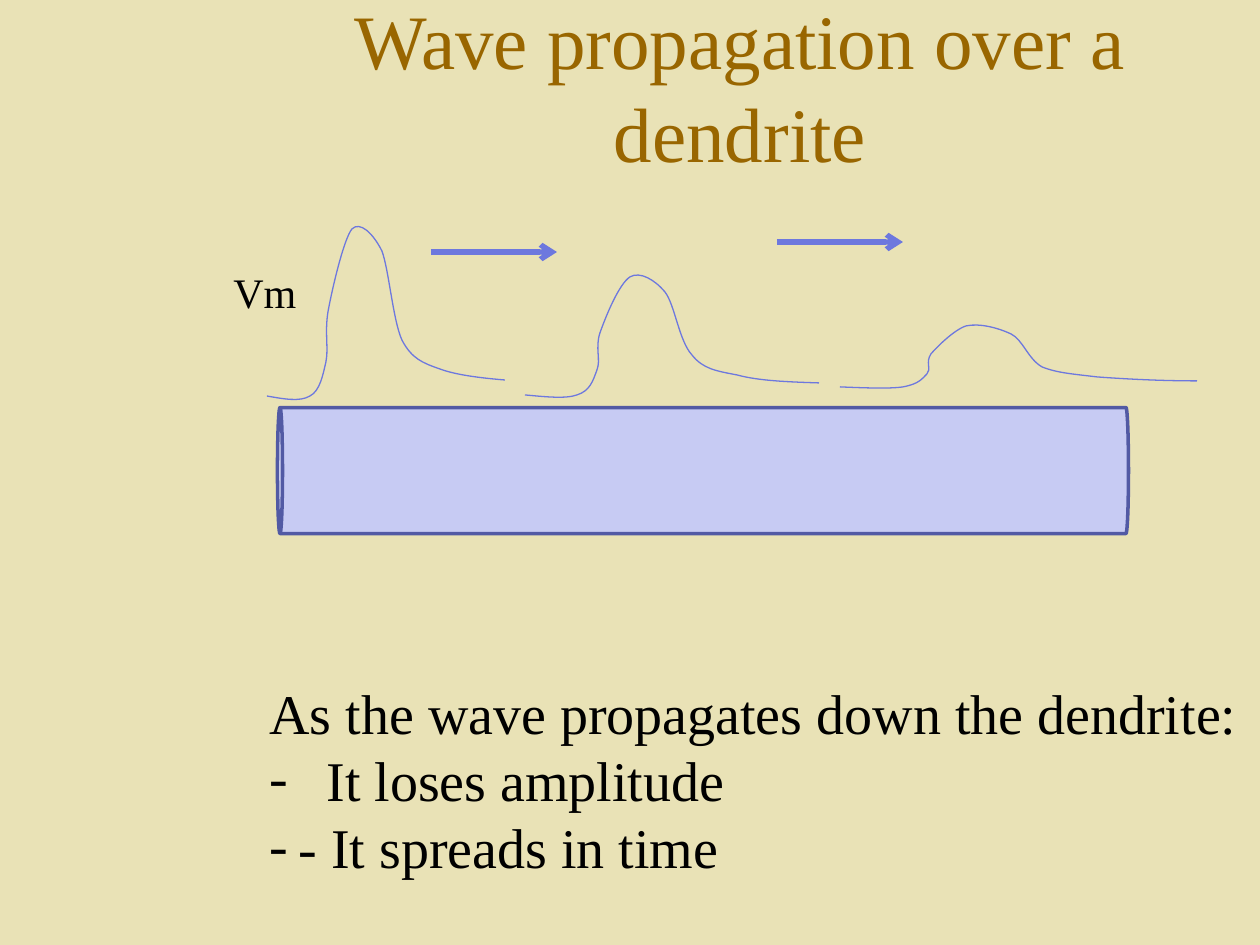
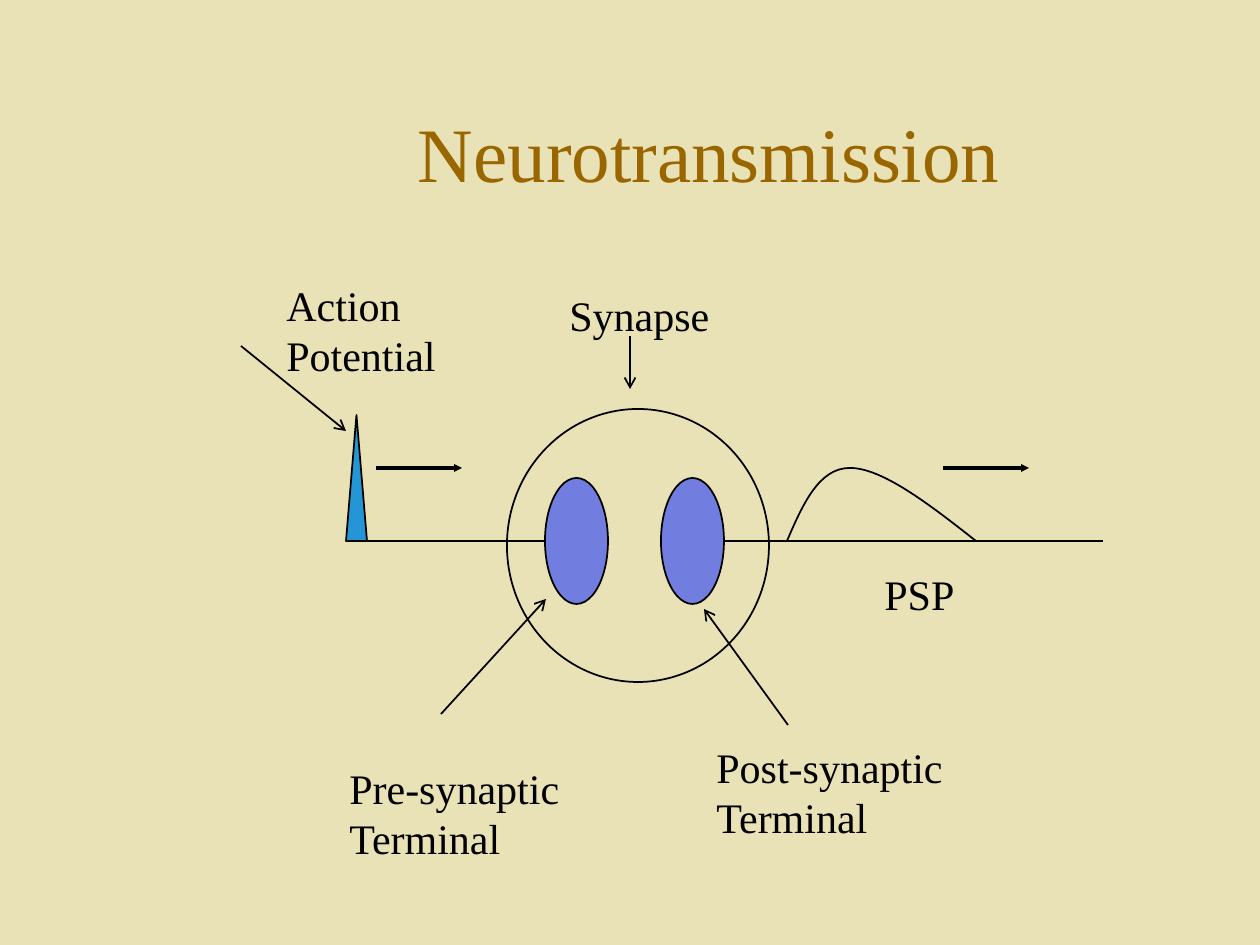
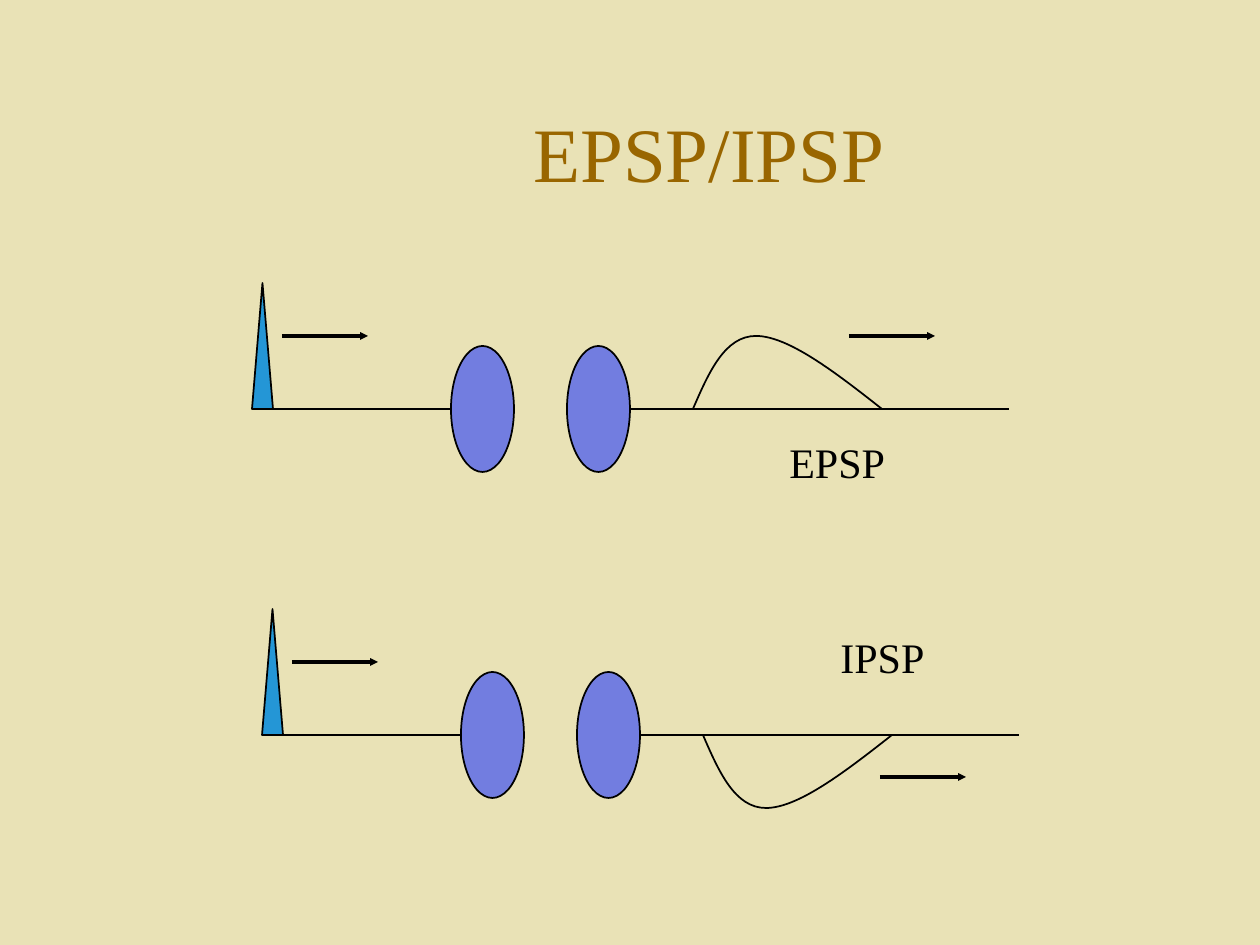
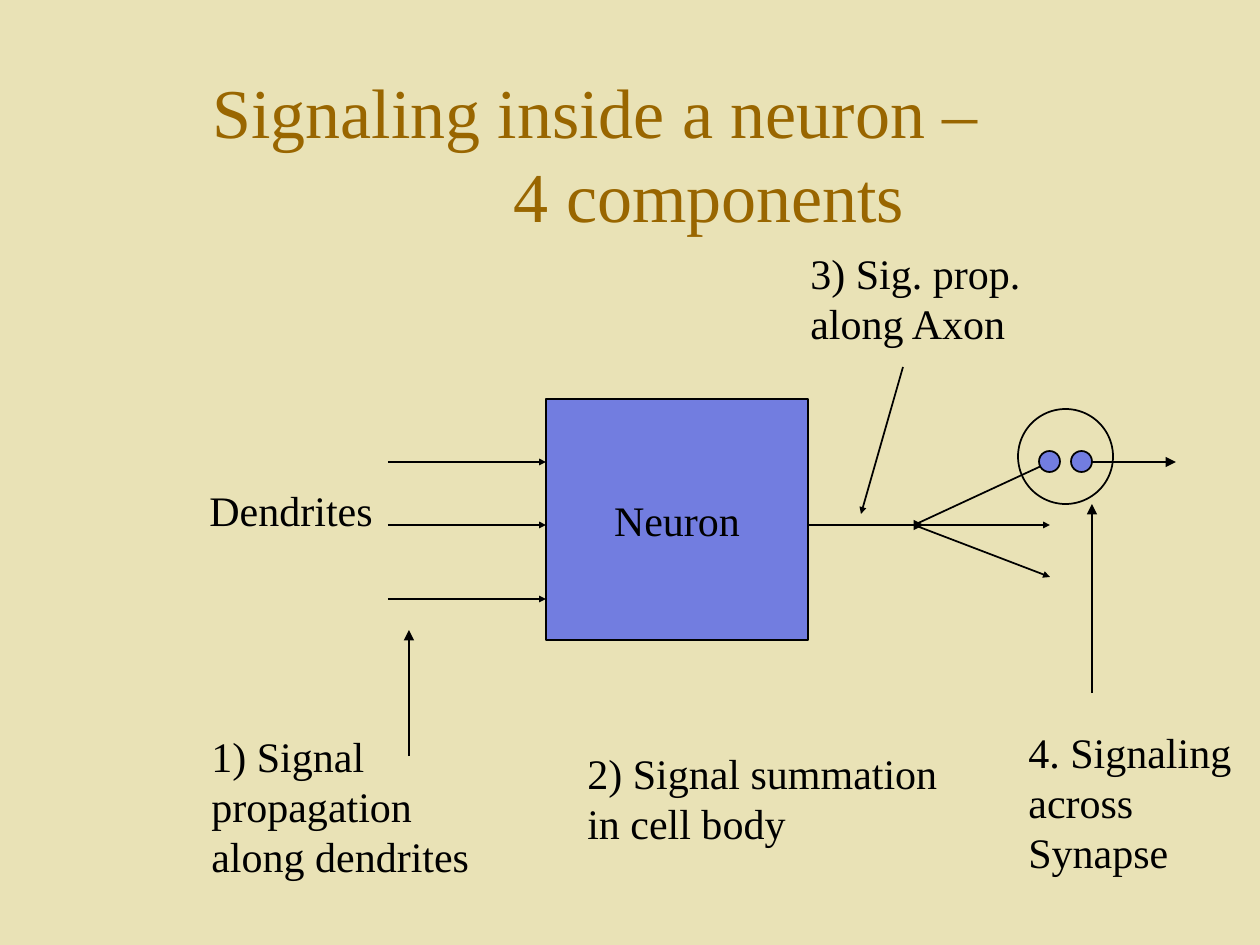
import pptx
import pptx.util
import pptx.dml.color
import pptx.enum.shapes
import pptx.enum.text
import pptx.oxml.ns
from lxml import etree

RGB = pptx.dml.color.RGBColor
SHAPE = pptx.enum.shapes.MSO_SHAPE
ALIGN = pptx.enum.text.PP_ALIGN
ANCHOR = pptx.enum.text.MSO_ANCHOR
AUTO = pptx.enum.text.MSO_AUTO_SIZE
qn = pptx.oxml.ns.qn

SAND = RGB(0xE9, 0xE2, 0xB6)
BROWN = RGB(0x99, 0x66, 0x00)
BLACK = RGB(0, 0, 0)
VIOLET = RGB(0x72, 0x7D, 0xE0)
WAVE = RGB(0x6D, 0x78, 0xDE)
LILAC = RGB(0xC7, 0xCB, 0xF3)
INDIGO = RGB(0x52, 0x5A, 0xA4)
BLUE = RGB(0x24, 0x96, 0xD6)

PX = 914400 / 126
TITLE_BOX = (189, 73, 1040, 158)
WAVE_TITLE_BOX = (220, 53, 1040, 158)
LABEL = {"size": 24, "color": BLACK}

WAVES = [
    [(505, 380), (481, 378), (456, 375), (440, 369), (423, 363), (412, 359), (402, 340),
     (393, 320), (389, 270), (382, 251), (373, 233), (360, 221), (352, 229),
     (344, 239), (333, 286), (329, 307), (324, 330), (329, 347), (326, 362),
     (323, 375), (320, 391), (310, 396), (300, 402), (284, 399), (267, 396)],
    [(819, 383), (789, 382), (759, 381), (737, 375), (716, 371), (703, 369), (692, 355),
     (679, 341), (675, 305), (665, 292), (655, 280), (640, 271), (630, 277),
     (619, 284), (606, 316), (600, 333), (595, 348), (601, 360), (597, 370),
     (593, 381), (590, 391), (577, 395), (566, 399), (546, 397), (525, 395)],
    [(1197, 381), (1160, 381), (1124, 379), (1097, 377), (1072, 374), (1057, 373), (1042, 367),
     (1028, 359), (1023, 340), (1011, 334), (998, 328), (980, 323), (966, 326),
     (954, 330), (937, 347), (931, 354), (925, 363), (932, 369), (927, 374),
     (922, 379), (919, 384), (903, 387), (890, 389), (864, 388), (840, 387)],
]
WAVE_ARROWS = [(431, 252, 557, 252), (777, 242, 903, 242)]
WAVE_NOTES = ["As the wave propagates down the dendrite:", "It loses amplitude", "- It spreads in time"]
NOTE_INDENTS = [0, 57, 29]

PSP_CURVE = [(441, 0), (457, 37), (473, 73), (504, 73), (536, 73), (583, 37), (630, 0)]
SYNAPSE_CIRCLE = (507, 409, 262, 273)
SYNAPSE_POINTERS = [(241, 346, 346, 431), (630, 336, 630, 389), (441, 714, 546, 599), (788, 725, 704, 609)]
SYNAPSE_LABELS = [
    (872, 562, 98, 63, ["PSP"]),
    (274, 273, 180, 113, ["Action", "Potential"]),
    (557, 283, 170, 63, ["Synapse"]),
    (337, 756, 240, 113, ["Pre-synaptic", "Terminal"]),
    (704, 735, 256, 113, ["Post-synaptic", "Terminal"]),
]
PSP_LABELS = [(777, 430, 126, 63, ["EPSP"]), (828, 625, 113, 63, ["IPSP"])]

NEURON_BOX = (546, 399, 262, 241)
DENDRITE_YS = [462, 525, 599]
BRANCH_YS = [462, 525, 577]
SIGNAL_ARROWS = [
    (809, 525, 924, 525, "med"),
    (903, 367, 861, 514, "sm"),
    (409, 756, 409, 630, "med"),
    (1092, 462, 1176, 462, "med"),
    (1092, 693, 1092, 504, "med"),
]
SYNAPSE_DOTS = [(1039, 451, 21, 21), (1071, 451, 21, 21)]
DOT_CIRCLE = (1018, 409, 95, 95)
NEURON_LABELS = [
    (197, 478, 194, 63, ["Dendrites"]),
    (199, 724, 288, 164, ["1) Signal", "propagation", "along dendrites"]),
    (575, 741, 380, 113, ["2) Signal summation", "in cell body"]),
    (1016, 720, 233, 164, ["4. Signaling", "across", "Synapse"]),
]
AXON_LABEL = (798, 241, 252, 113, ["3) Sig. prop. along Axon"])


def emu(*lengths):
    return [round(v * PX) for v in lengths]


def write(tf, lines, size, color, align=ALIGN.LEFT):
    for i, line in enumerate(lines):
        p = tf.paragraphs[0] if i == 0 else tf.add_paragraph()
        p.alignment = align
        r = p.add_run()
        r.text = line
        for name, value in {"name": "Times New Roman", "size": pptx.util.Pt(size)}.items():
            setattr(r.font, name, value)
        r.font.color.rgb = color


def add_text(s, x, y, w, h, lines, wrap=False, align=ALIGN.LEFT, auto=AUTO.SHAPE_TO_FIT_TEXT,
             anchor=ANCHOR.TOP, size=24, color=BLACK):
    tf = s.shapes.add_textbox(*emu(x, y, w, h)).text_frame
    for name, value in {"word_wrap": wrap, "auto_size": auto, "vertical_anchor": anchor}.items():
        setattr(tf, name, value)
    write(tf, lines, size, color, align)
    return tf


def add_title(s, lines, box=TITLE_BOX, size=44):
    return add_text(s, *box, lines, wrap=True, align=ALIGN.CENTER, auto=AUTO.NONE,
                    anchor=ANCHOR.MIDDLE, size=size, color=BROWN)


def style(sp, fill, line, width):
    sp.shadow.inherit = False
    if fill is None:
        sp.fill.background()
    else:
        sp.fill.solid()
        sp.fill.fore_color.rgb = fill
    sp.line.color.rgb = line
    sp.line.width = pptx.util.Pt(width)


def add_shape(s, kind, box, fill=None, line=BLACK, width=1):
    sp = s.shapes.add_shape(kind, *emu(*box))
    style(sp, fill, line, width)
    return sp


def add_line(s, x1, y1, x2, y2, head=None, head_size="med", color=BLACK, width=1):
    c = s.shapes.add_connector(pptx.enum.shapes.MSO_CONNECTOR.STRAIGHT, *emu(x1, y1, x2, y2))
    c.line.color.rgb = color
    c.line.width = pptx.util.Pt(width)
    if head:
        etree.SubElement(c.line._get_or_add_ln(), qn("a:tailEnd"), type=head, w=head_size, len=head_size)
    etree.SubElement(c.element.spPr, qn("a:effectLst"))


def add_curve(s, points, color=BLACK, width=1):
    fb = s.shapes.build_freeform(*points[0], scale=PX)
    fb.add_line_segments(points[1:], close=False)
    sp = fb.convert_to_shape()
    steps = sp.element.xpath(".//a:lnTo")
    for i in range(0, len(steps), 3):
        bezier = etree.SubElement(steps[i].getparent(), qn("a:cubicBezTo"))
        for step in steps[i:i + 3]:
            bezier.append(step[0])
            step.getparent().remove(step)
    style(sp, None, color, width)


def add_pathway(s, x, y, rise=-1, psp_arrow=(597, -73)):
    add_line(s, x, y, x + 199, y)
    for terminal_x in (199, 315):
        add_shape(s, SHAPE.OVAL, (x + terminal_x, y - 63, 63, 126), VIOLET)
    add_line(s, x + 378, y, x + 757, y)
    add_shape(s, SHAPE.ISOSCELES_TRIANGLE, (x, y - 126, 21, 126), BLUE)
    add_curve(s, [(x + dx, y + rise * dy) for dx, dy in PSP_CURVE])
    for dx, dy in ((30, -73), psp_arrow):
        add_line(s, x + dx, y + dy, x + dx + 86, y + dy, "triangle", "sm", width=2.25)


def add_labels(s, labels):
    for label in labels:
        add_text(s, *label, **LABEL)


def wave_slide(s):
    tf = add_title(s, ["Wave propagation over a dendrite"], WAVE_TITLE_BOX)
    tf.margin_bottom = emu(100)[0]
    can = add_shape(s, SHAPE.CAN, (640, 45, 126, 851), LILAC, INDIGO, 2)
    can.rotation = 270
    can.adjustments[0] = 0.04
    add_labels(s, [(221, 260, 94, 63, ["Vm"])])
    for points in WAVES:
        add_curve(s, points, WAVE, 0.75)
    for arrow in WAVE_ARROWS:
        add_line(s, *arrow, "arrow", color=WAVE, width=3)
    tf = add_text(s, 257, 672, 1000, 214, WAVE_NOTES, size=32)
    for p, indent in zip(tf.paragraphs, NOTE_INDENTS):
        if indent:
            pPr = p._p.get_or_add_pPr()
            pPr.set("marL", str(emu(indent)[0]))
            pPr.set("indent", str(emu(-indent)[0]))
            etree.SubElement(pPr, qn("a:buFont"), typeface="Times New Roman")
            etree.SubElement(pPr, qn("a:buChar"), char="-")


def synapse_slide(s):
    add_title(s, ["Neurotransmission"])
    add_pathway(s, 346, 541)
    add_shape(s, SHAPE.OVAL, SYNAPSE_CIRCLE)
    for pointer in SYNAPSE_POINTERS:
        add_line(s, *pointer, "arrow")
    add_labels(s, SYNAPSE_LABELS)


def psp_slide(s):
    add_title(s, ["EPSP/IPSP"])
    add_pathway(s, 252, 409)
    add_pathway(s, 262, 735, rise=1, psp_arrow=(618, 42))
    add_labels(s, PSP_LABELS)


def neuron_slide(s):
    tf = add_title(s, ["Signaling inside a neuron –", "4 components"], size=40)
    tf.paragraphs[0].alignment = ALIGN.LEFT
    tf.paragraphs[0]._p.get_or_add_pPr().set("marL", str(emu(11)[0]))
    neuron = add_shape(s, SHAPE.RECTANGLE, NEURON_BOX, VIOLET)
    neuron.text_frame.word_wrap = False
    write(neuron.text_frame, ["Neuron"], align=ALIGN.CENTER, **LABEL)
    for y in DENDRITE_YS:
        add_line(s, 388, y, 546, y, "triangle", "sm")
    for y in BRANCH_YS:
        add_line(s, 914, 525, 1050, y, "triangle", "sm")
    for x1, y1, x2, y2, head_size in SIGNAL_ARROWS:
        add_line(s, x1, y1, x2, y2, "triangle", head_size)
    for dot in SYNAPSE_DOTS:
        add_shape(s, SHAPE.OVAL, dot, VIOLET)
    add_shape(s, SHAPE.OVAL, DOT_CIRCLE)
    add_labels(s, NEURON_LABELS)
    add_text(s, *AXON_LABEL, wrap=True, **LABEL)


def main():
    prs = pptx.Presentation()
    prs.slide_width, prs.slide_height = emu(1260, 945)
    background = prs.slide_master.background.fill
    background.solid()
    background.fore_color.rgb = SAND
    for build in (wave_slide, synapse_slide, psp_slide, neuron_slide):
        build(prs.slides.add_slide(prs.slide_layouts[6]))
    prs.save("out.pptx")


if __name__ == "__main__":
    main()
